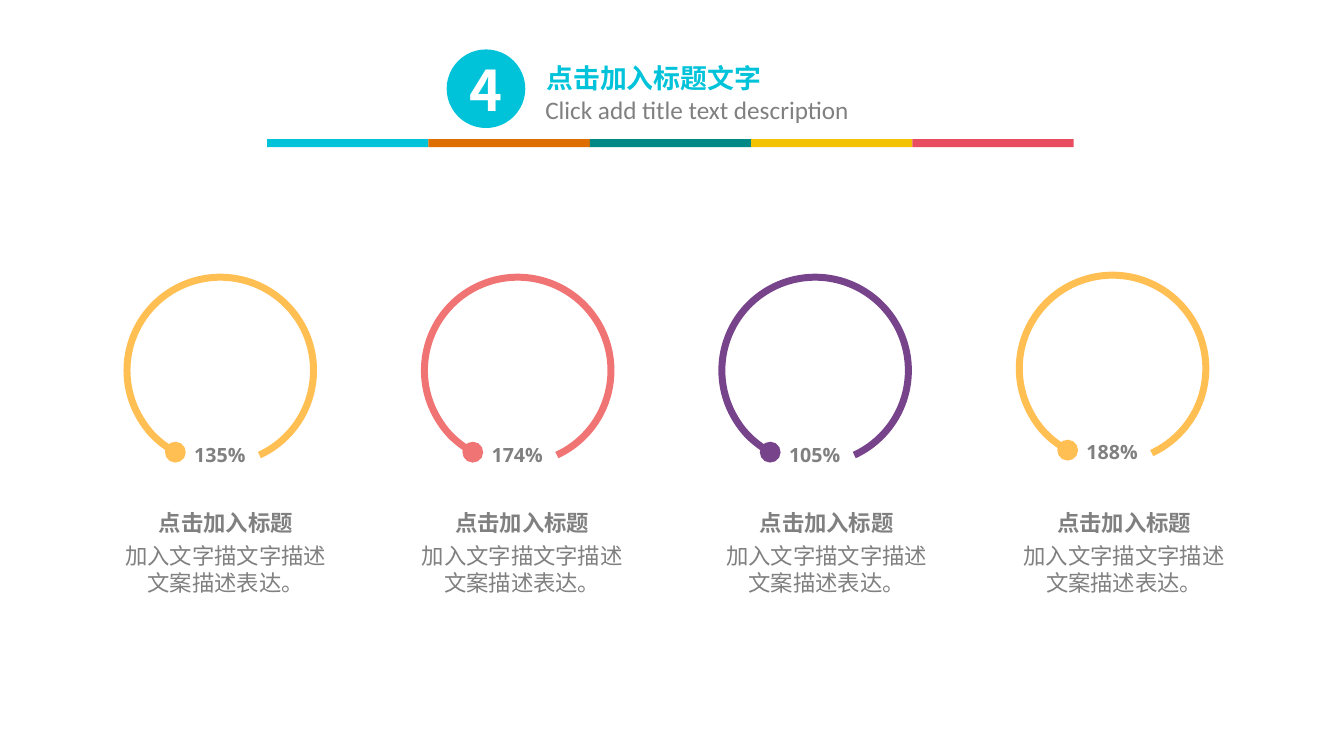
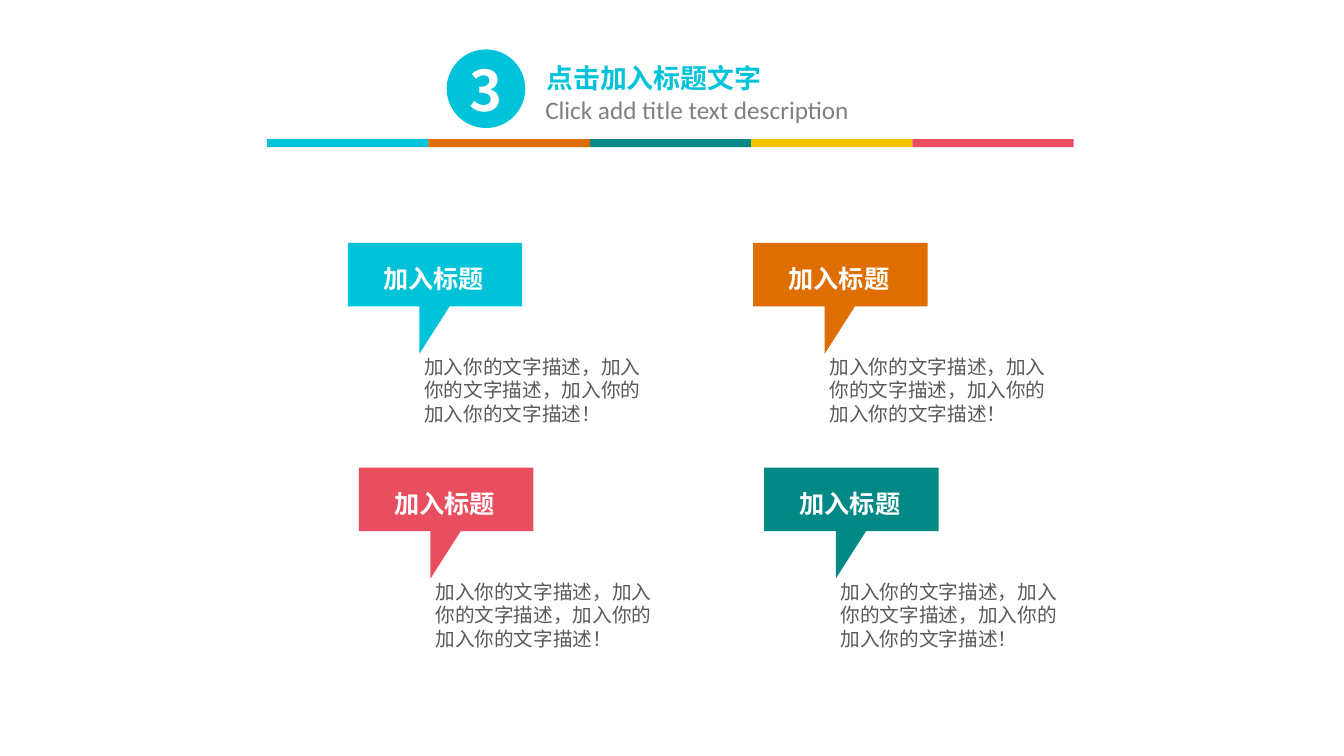
from dataclasses import dataclass

from lxml.etree import SubElement
from pptx import Presentation
from pptx.dml.color import RGBColor
from pptx.enum.shapes import MSO_SHAPE
from pptx.enum.text import MSO_ANCHOR, PP_ALIGN
from pptx.oxml.ns import qn
from pptx.shapes.autoshape import Shape
from pptx.slide import Slide
from pptx.text.text import TextFrame
from pptx.util import Inches, Pt


@dataclass(frozen=True)
class Theme:
    cyan: str = "00C3D9"
    orange: str = "DE6E00"
    teal: str = "028985"
    yellow: str = "F3C301"
    red: str = "E94E60"
    amber: str = "FFBF53"
    coral: str = "F17475"
    purple: str = "77448C"
    white: str = "FFFFFF"
    gray: str = "808080"
    dark_gray: str = "595959"
    chinese_font: str = "Noto Sans CJK SC"
    latin_font: str = "Open Sans"
    subtitle_font: str = "Calibri"
    number_size: int = 40
    title_size: int = 24
    large_size: int = 18
    body_size: int = 16
    small_size: int = 14
    chinese_leading: float = 1.2


THEME = Theme()


@dataclass(frozen=True)
class TextStyle:
    size: int
    color: str
    font: str = THEME.chinese_font
    bold: bool = False
    centered: bool = False
    small_caps: bool = False
    tight: bool = True


@dataclass(frozen=True)
class Box:
    left: float
    top: float
    width: float
    height: float

    def lengths(self) -> tuple[int, int, int, int]:
        return (Inches(self.left), Inches(self.top),
                Inches(self.width), Inches(self.height))


@dataclass(frozen=True)
class Gauge:
    value: str
    color: str
    text_left: float
    top: float = 2.75


@dataclass(frozen=True)
class Callout:
    column: int
    row: int
    color: str


NUMBER = TextStyle(THEME.number_size, THEME.white, bold=True, centered=True)
TITLE = TextStyle(THEME.title_size, THEME.cyan, bold=True, small_caps=True)
SUBTITLE = TextStyle(THEME.large_size, THEME.gray, THEME.subtitle_font, tight=False)
PERCENT = TextStyle(THEME.small_size, THEME.gray, THEME.latin_font,
                    bold=True, centered=True, tight=False)
HEADING = TextStyle(THEME.body_size, THEME.gray, THEME.latin_font,
                    bold=True, centered=True)
DESCRIPTION = TextStyle(THEME.body_size, THEME.gray, THEME.latin_font, centered=True)
LABEL = TextStyle(THEME.large_size, THEME.white, bold=True, centered=True)
BODY = TextStyle(THEME.small_size, THEME.dark_gray)

STRIPE_COLORS = (THEME.cyan, THEME.orange, THEME.teal, THEME.yellow, THEME.red)
GAUGES = (
    Gauge("135%", THEME.amber, 1.13),
    Gauge("174%", THEME.coral, 4.07),
    Gauge("105%", THEME.purple, 7.09),
    Gauge("188%", THEME.amber, 10.04, top=2.73),
)
CALLOUTS = (
    Callout(0, 0, THEME.cyan),
    Callout(0, 1, THEME.red),
    Callout(1, 0, THEME.orange),
    Callout(1, 1, THEME.teal),
)
# Callout corners relative to its top left corner
CALLOUT_OUTLINE = ((0, 0), (1.73, 0), (1.73, 0.63), (1.01, 0.63),
                   (0.71, 1.1), (0.71, 0.63), (0, 0.63))


# Basic parts
def write_text(frame: TextFrame, lines: tuple[str, ...], style: TextStyle) -> None:
    for index, line in enumerate(lines):
        paragraph = frame.paragraphs[0] if index == 0 else frame.add_paragraph()
        paragraph.text = line
        paragraph.alignment = PP_ALIGN.CENTER if style.centered else PP_ALIGN.LEFT
        if style.tight:
            paragraph.line_spacing = Pt(style.size * THEME.chinese_leading)
        font = paragraph.font
        font.size = Pt(style.size)
        font.bold = style.bold
        font.color.rgb = RGBColor.from_string(style.color)
        font.name = style.font
        properties = font._element
        SubElement(properties, qn("a:ea"), typeface=THEME.chinese_font)
        if style.small_caps:
            properties.set("cap", "small")


def add_text(slide: Slide, box: Box, lines: tuple[str, ...], style: TextStyle,
             vertical_inset: float = 0.05, wrap: bool = True) -> None:
    frame = slide.shapes.add_textbox(*box.lengths()).text_frame
    frame.word_wrap = wrap
    frame.margin_top = frame.margin_bottom = Inches(vertical_inset)
    write_text(frame, lines, style)


def paint(shape: Shape, color: str) -> None:
    shape.shadow.inherit = False
    shape.fill.solid()
    shape.fill.fore_color.rgb = RGBColor.from_string(color)
    shape.line.fill.background()


def add_filled_shape(slide: Slide, kind: MSO_SHAPE, box: Box, color: str) -> Shape:
    shape = slide.shapes.add_shape(kind, *box.lengths())
    paint(shape, color)
    return shape


# Shared header: numbered circle, titles and striped band
def add_header(slide: Slide, number: str) -> None:
    circle = add_filled_shape(slide, MSO_SHAPE.OVAL,
                              Box(4.43, 0.49, 0.78, 0.78), THEME.cyan)
    frame = circle.text_frame
    frame.vertical_anchor = MSO_ANCHOR.MIDDLE
    frame.word_wrap = False
    write_text(frame, (number,), NUMBER)
    add_text(slide, Box(5.32, 0.5, 2.88, 0.48), ("点击加入标题文字",), TITLE, 0.04)
    add_text(slide, Box(5.31, 0.89, 3.36, 0.4),
             ("Click add title text description",), SUBTITLE)
    for index, color in enumerate(STRIPE_COLORS):
        add_filled_shape(slide, MSO_SHAPE.RECTANGLE,
                         Box(2.65 + 1.6 * index, 1.38, 1.6, 0.08), color)


# Open ring with its percentage and text below
def add_gauge(slide: Slide, gauge: Gauge, left: float) -> None:
    ring = slide.shapes.add_shape(MSO_SHAPE.ARC,
                                  *Box(left, gauge.top, 1.85, 1.85).lengths())
    ring.shadow.inherit = False
    ring.fill.background()
    ring.adjustments[0] = 176.89
    ring.adjustments[1] = 144.72
    ring.line.color.rgb = RGBColor.from_string(gauge.color)
    ring.line.width = Pt(5)
    SubElement(ring.line._get_or_add_ln(), qn("a:tailEnd"), type="oval")
    ring._element.spPr.find(qn("a:xfrm")).set("flipV", "1")

    add_text(slide, Box(left + 0.56, gauge.top + 1.59, 0.72, 0.34),
             (gauge.value,), PERCENT, wrap=False)
    add_text(slide, Box(gauge.text_left + 0.33, 5, 1.56, 0.54),
             ("点击加入标题",), HEADING, wrap=False)
    add_text(slide, Box(gauge.text_left, 5.33, 2.22, 0.64),
             ("加入文字描文字描述文案描述表达。",), DESCRIPTION)


# Speech callout with its label and text
def add_callout(slide: Slide, callout: Callout) -> None:
    left = 3.45 + 4.02 * callout.column + 0.11 * callout.row
    top = 2.41 + 2.23 * callout.row
    points = [(Inches(left + x), Inches(top + y)) for x, y in CALLOUT_OUTLINE]
    builder = slide.shapes.build_freeform(*points[0])
    builder.add_line_segments(points[1:], close=True)
    paint(builder.convert_to_shape(), callout.color)
    add_text(slide, Box(left - 0.03, top + 0.2, 1.76, 0.28), ("加入标题",), LABEL, 0)
    add_text(slide, Box(left + 0.66, top + 1.11, 2.5, 0.55),
             ("加入你的文字描述，加入你的文字描述，加入你的", "加入你的文字描述！"), BODY, 0)


def main() -> None:
    presentation = Presentation()
    presentation.slide_width = Inches(13.33)
    presentation.slide_height = Inches(7.5)
    blank = presentation.slide_layouts[6]

    # Slide with gauges
    slide = presentation.slides.add_slide(blank)
    add_header(slide, "4")
    for index, gauge in enumerate(GAUGES):
        add_gauge(slide, gauge, 1.26 + 2.95 * index)

    # Slide with callouts
    slide = presentation.slides.add_slide(blank)
    add_header(slide, "3")
    for callout in CALLOUTS:
        add_callout(slide, callout)

    presentation.save("out.pptx")


main()
